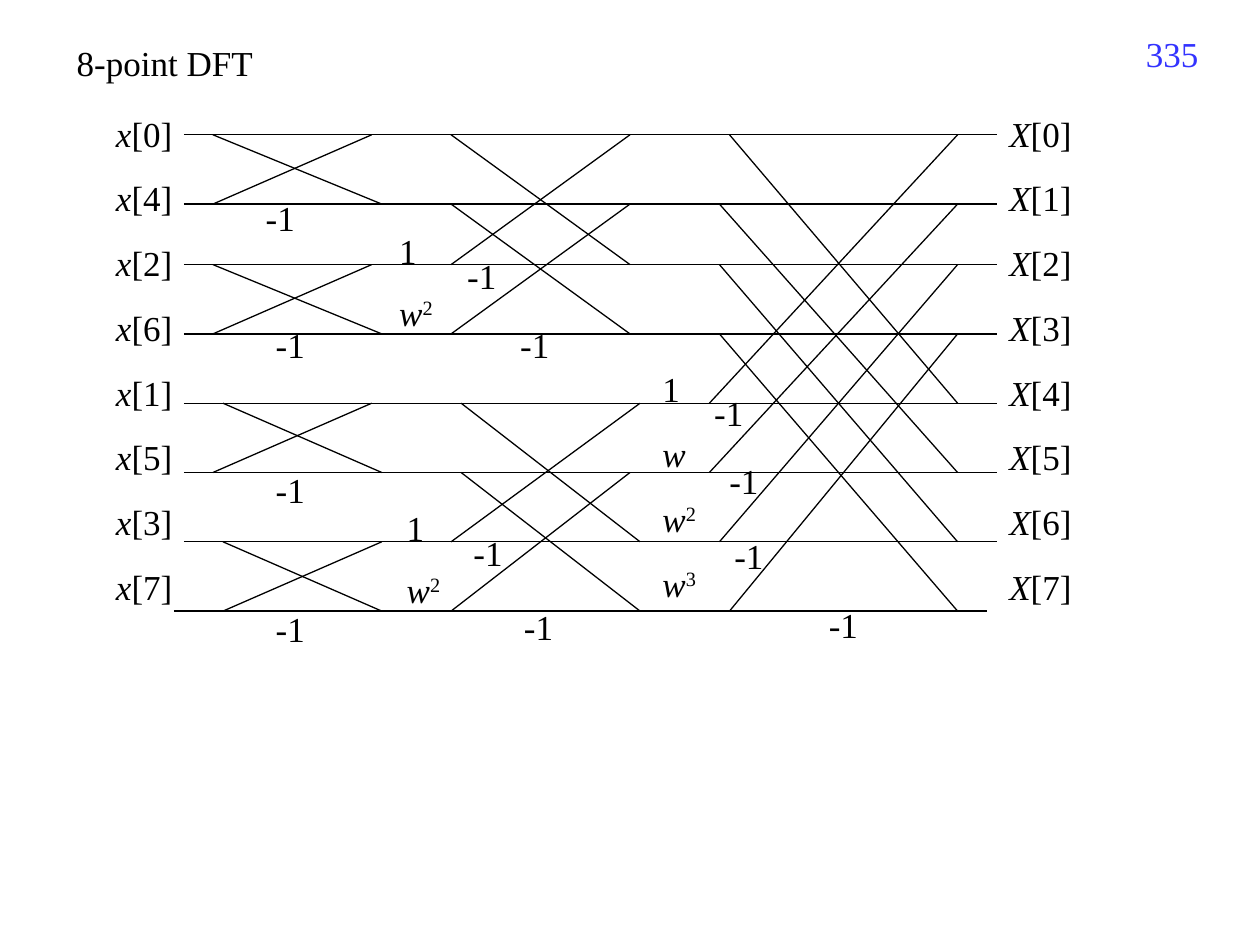
import dataclasses

import lxml.etree
import pptx
import pptx.dml.color
import pptx.enum.shapes
import pptx.enum.text
import pptx.oxml.ns
import pptx.util

Inches = pptx.util.Inches
Pt = pptx.util.Pt
RGB = pptx.dml.color.RGBColor
ALIGN = pptx.enum.text.PP_ALIGN


@dataclasses.dataclass(frozen=True)
class Theme:
    """Colours, font and sizes of the slide."""
    ink: RGB = RGB(0, 0, 0)
    number: RGB = RGB(0x33, 0x33, 0xFF)
    font: str = "Times New Roman"
    size: float = 20
    line: float = 0.75
    column_gap: float = 13
    pair_gap: float = 11.3


class Diagram:
    """Draws text and lines on the current slide in one style."""

    def __init__(self, slide, theme):
        """Keep the slide and the theme."""
        self.slide, self.theme = slide, theme

    def line(self, x1, y1, x2, y2):
        """Draw a thin straight line."""
        sp = self.slide.shapes.add_connector(
            pptx.enum.shapes.MSO_CONNECTOR.STRAIGHT,
            Inches(x1), Inches(y1), Inches(x2), Inches(y2))
        sp.line.color.rgb = self.theme.ink
        sp.line.width = Pt(self.theme.line)
        lxml.etree.SubElement(sp._element.spPr, pptx.oxml.ns.qn("a:effectLst"))

    def text(self, x, y, w, h, paragraphs, gap=0, color=None, align=ALIGN.LEFT, inset=0.1):
        """Add a text box; each paragraph lists (text, style) runs."""
        tf = self.slide.shapes.add_textbox(Inches(x), Inches(y), Inches(w), Inches(h)).text_frame
        tf.word_wrap = True
        tf.margin_left = Inches(inset)
        for i, runs in enumerate(paragraphs):
            p = tf.paragraphs[0] if i == 0 else tf.add_paragraph()
            p.alignment = align
            p.space_before = Pt(gap if i else 0)
            for content, style in runs:
                self.run(p, content, style, color or self.theme.ink)

    def run(self, p, content, style, color):
        """Add one run, plain, italic or superscript."""
        r = p.add_run()
        r.text = content
        r.font.name = self.theme.font
        r.font.size = Pt(self.theme.size)
        r.font.color.rgb = color
        r.font.italic = style == "italic"
        if style == "super":
            r.font._element.set("baseline", "30000")

    def signal_labels(self, x, name, indices):
        """Add a column of indexed signal names."""
        rows = [[(name, "italic"), (f"[{i}]", "plain")] for i in indices]
        self.text(x, 0.84, 0.79, 4.16, rows, self.theme.column_gap, inset=0.17)

    def twiddles(self, x, y, h, powers, gap):
        """Add a column of powers of w."""
        rows = []
        for power in powers:
            runs = [("w", "italic") if power else ("1", "plain")]
            if power > 1:
                runs.append((str(power), "super"))
            rows.append(runs)
        self.text(x, y, 0.63, h, rows, gap)

    def minus_one(self, x, y):
        """Mark a branch with the factor -1."""
        self.text(x, y, 0.63, 0.43, [[("-1", "plain")]])

    def butterfly(self, top, bottom, down, up):
        """Cross two rows; down and up give start and end x."""
        self.line(down[0], top, down[1], bottom)
        self.line(up[0], bottom, up[1], top)


ROWS = [1.07, 1.62, 2.1, 2.65, 3.2, 3.75, 4.3, 4.85]

# Each entry: upper row, falling x span, rising x span
STAGES = {
    1: [(0, (1.69, 3.03), (1.69, 2.95)), (2, (1.69, 3.03), (1.69, 2.95)),
        (4, (1.77, 3.03), (1.69, 2.95)), (6, (1.77, 3.03), (1.77, 3.03))],
    2: [(0, (3.58, 5), (3.58, 5)), (1, (3.58, 5), (3.58, 5)),
        (4, (3.66, 5.08), (3.58, 5.08)), (5, (3.66, 5.08), (3.58, 5))],
    4: [(0, (5.79, 7.6), (5.63, 7.6)), (1, (5.71, 7.6), (5.63, 7.6)),
        (2, (5.71, 7.6), (5.71, 7.6)), (3, (5.71, 7.6), (5.79, 7.6))],
}

MINUS_ONES = [
    (2.01, 1.51), (2.09, 2.52), (2.09, 3.67), (2.09, 4.77),
    (3.61, 1.97), (4.03, 2.52), (3.66, 4.17), (4.06, 4.76),
    (5.57, 3.06), (5.69, 3.6), (5.73, 4.19), (6.48, 4.74),
]


def main():
    """Build the slide and save it."""
    prs = pptx.Presentation()
    prs.slide_width, prs.slide_height = Inches(10), Inches(7.5)
    theme = Theme()
    d = Diagram(prs.slides.add_slide(prs.slide_layouts[6]), theme)

    d.text(0.51, 0.28, 2.2, 0.43, [[("8-point DFT", "plain")]])
    d.text(7.28, 0.21, 2.33, 0.52, [[("335", "plain")]], color=theme.number, align=ALIGN.RIGHT)
    d.signal_labels(0.75, "x", [0, 4, 2, 6, 1, 5, 3, 7])
    d.signal_labels(7.84, "X", range(8))

    for y in ROWS:
        left = 1.38 if y == ROWS[-1] else 1.46
        d.line(left, y, left + 6.45, y)
    for distance, crossings in STAGES.items():
        for row, down, up in crossings:
            d.butterfly(ROWS[row], ROWS[row + distance], down, up)

    for x, y in MINUS_ONES:
        d.minus_one(x, y)
    d.twiddles(3.07, 1.77, 0.93, [0, 2], theme.pair_gap)
    d.twiddles(3.13, 3.97, 0.93, [0, 2], theme.pair_gap)
    d.twiddles(5.16, 2.87, 2.03, range(4), theme.column_gap)

    prs.save("out.pptx")


if __name__ == "__main__":
    main()
